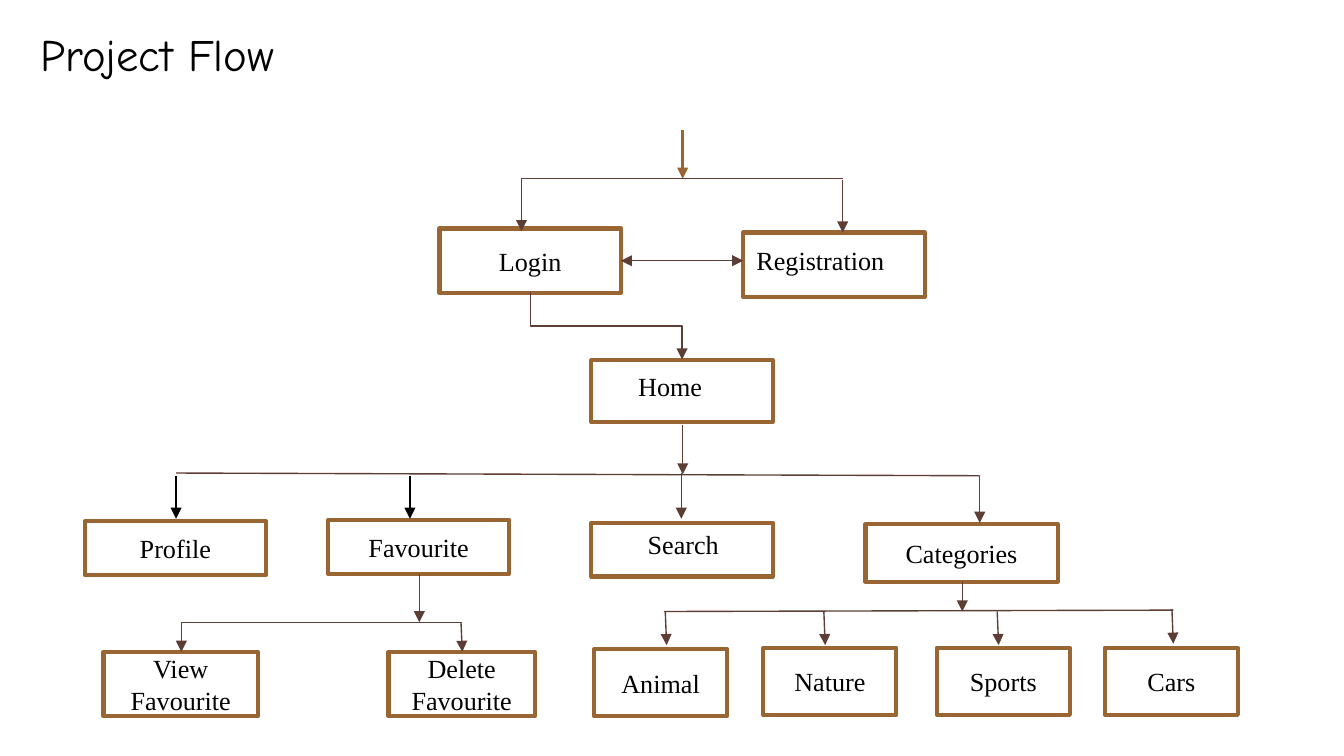
"""Build the Project Flow slide: a tree of app screens joined by arrows."""
from lxml import etree
from pptx import Presentation
from pptx.dml.color import RGBColor
from pptx.enum.shapes import MSO_CONNECTOR, MSO_SHAPE
from pptx.enum.text import MSO_ANCHOR, PP_ALIGN
from pptx.oxml.ns import qn
from pptx.util import Inches, Pt

STRAIGHT, ELBOW = MSO_CONNECTOR.STRAIGHT, MSO_CONNECTOR.ELBOW
RECTANGLE = MSO_SHAPE.RECTANGLE
TOP, MIDDLE = MSO_ANCHOR.TOP, MSO_ANCHOR.MIDDLE
LEFT, CENTER = PP_ALIGN.LEFT, PP_ALIGN.CENTER
COLORS = {"text": "000000", "border": "996633", "branch": "5C3E35", "black": "000000"}
BODY = {"name": "Times New Roman", "size": Pt(14)}
TITLE = {"name": "Comic Neue", "size": Pt(24)}

presentation = Presentation()
presentation.slide_width = Inches(10)
presentation.slide_height = presentation.slide_width * 9 // 16
slide = presentation.slides.add_slide(presentation.slide_layouts[6])
CELL = presentation.slide_width // 1000


def write(shape, text, font_format, alignment, anchor):
    frame = shape.text_frame
    frame.word_wrap, frame.vertical_anchor = True, anchor
    paragraph = frame.paragraphs[0]
    paragraph.alignment = alignment
    run = paragraph.add_run()
    run.text = text
    for name, value in font_format.items():
        setattr(run.font, name, value)
    run.font.color.rgb = RGBColor.from_string(COLORS["text"])


def connect(points, color="branch", width=0.75, ends=("tailEnd",), kind=STRAIGHT):
    connector = slide.shapes.add_connector(kind, *(point * CELL for point in points))
    connector.line.color.rgb = RGBColor.from_string(COLORS[color])
    connector.line.width = Pt(width)
    for end in ends:
        etree.SubElement(connector.line._get_or_add_ln(), qn("a:" + end), type="triangle")
    properties = connector._element.spPr
    etree.SubElement(properties, qn("a:effectLst"))
    return properties


boxes = [
    ("Login", 327, 170, 135, 48),
    ("", 553, 173, 135, 48),
    ("", 440, 268, 135, 46),
    ("Profile", 63, 388, 135, 40),
    ("Favourite", 244, 387, 135, 40),
    ("", 440, 389, 135, 40),
    ("Categories", 644, 390, 143, 43),
    ("View Favourite", 77, 485, 115, 48),
    ("Delete Favourite", 289, 485, 109, 48),
    ("Animal", 442, 483, 99, 50),
    ("Nature", 568, 482, 99, 50),
    ("Sports", 697, 482, 99, 50),
    ("Cars", 822, 482, 99, 50),
]
for text, *place in boxes:
    box = slide.shapes.add_shape(RECTANGLE, *(length * CELL for length in place))
    box.shadow.inherit = False
    box.fill.background()
    box.line.color.rgb = RGBColor.from_string(COLORS["border"])
    box.line.width = Pt(2.25)
    if text:
        write(box, text, BODY, CENTER, MIDDLE)

labels = [
    ("Project Flow", 20, 15, 238, 50, TITLE, LEFT),
    ("Registration", 553, 177, 156, 34, BODY, LEFT),
    ("Home", 465, 271, 100, 34, BODY, LEFT),
    ("Search", 465, 388, 87, 34, BODY, CENTER),
]
for text, left, top, width, height, font_format, alignment in labels:
    place = (left, top, width, height)
    label = slide.shapes.add_textbox(*(length * CELL for length in place))
    write(label, text, font_format, alignment, TOP)

connect((508, 97, 508, 133), "border", 1.5)
connect((462, 194, 553, 194), ends=("headEnd", "tailEnd"))

rails = [(388, 133, 627, 133), (131, 352, 729, 354), (190, 463, 344, 463), (494, 455, 873, 454)]
for rail in rails:
    connect(rail, ends=())

branch_arrows = [
    (388, 133, 388, 172), (627, 134, 627, 173),
    (508, 316, 508, 353), (507, 352, 507, 386), (729, 354, 729, 389),
    (312, 427, 312, 463), (343, 463, 344, 485), (716, 433, 716, 455),
    (495, 455, 496, 480), (613, 455, 614, 480), (742, 455, 743, 480), (872, 453, 873, 479),
]
for arrow in branch_arrows:
    connect(arrow)
for column in (131, 305):
    connect((column, 354, column, 386), "black")

login_to_home = connect((426, 186, 476, 299), kind=ELBOW)
for name, value in {"rot": "16200000", "flipH": "1"}.items():
    login_to_home.find(qn("a:xfrm")).set(name, value)

view_favourite = connect((190, 463, 135, 485), kind=ELBOW)
view_favourite.find(qn("a:prstGeom")).set("prst", "bentConnector2")

presentation.save("out.pptx")
